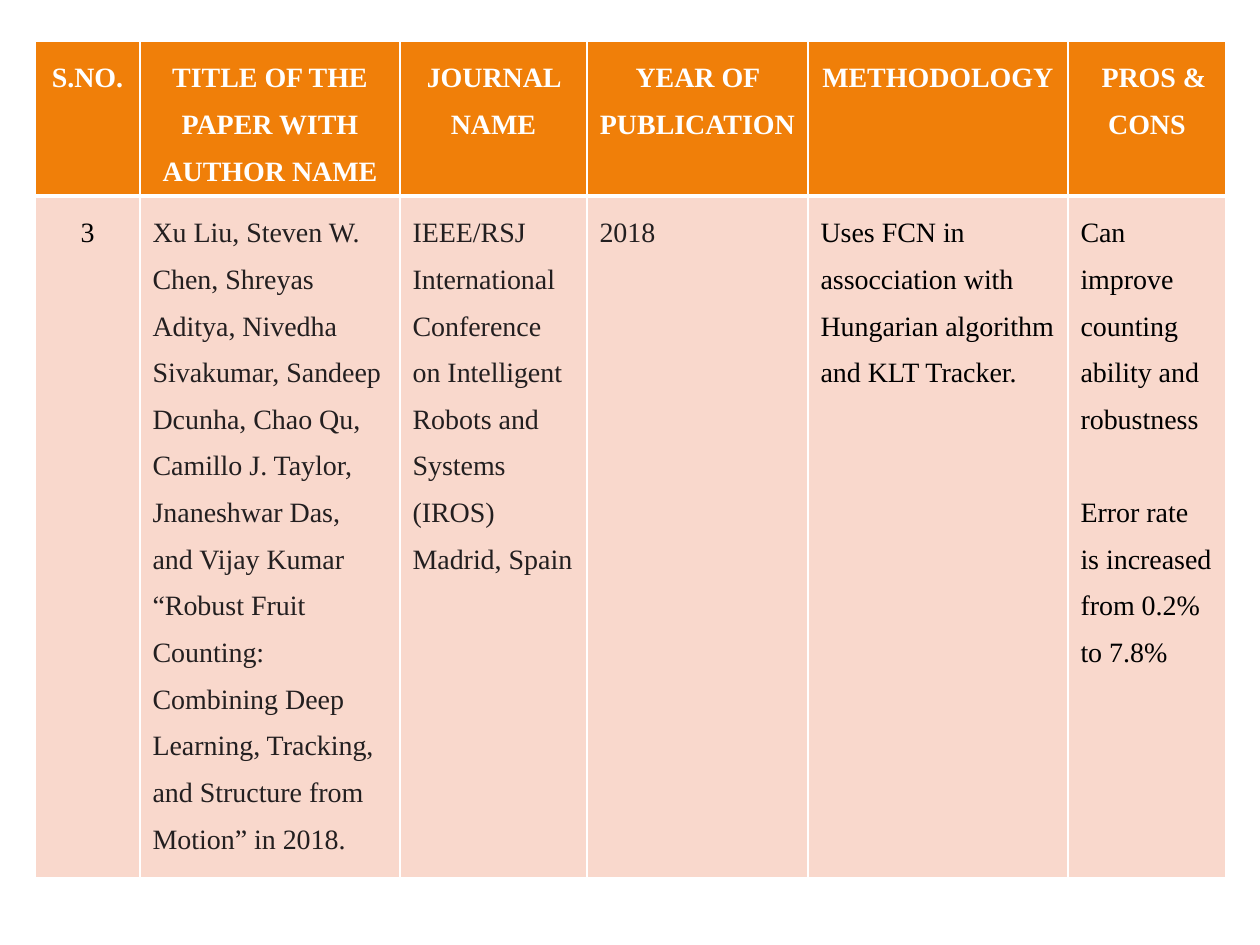
import pptx
import pptx.util
import pptx.dml.color
import pptx.enum.text
import pptx.oxml.ns
from lxml import etree

HUES = {"head": "F07F09", "body": "F9D8CC", "line": "FFFFFF",
        "white": "FFFFFF", "black": "000000", "ink": "231F20"}
FONT = {"name": "Times New Roman", "size": pptx.util.Pt(16)}
COLS = [105, 260, 187, 221, 260, 158]
ROWS = [155, 682]
HEADS = ["S.NO.", "TITLE OF THE PAPER WITH AUTHOR NAME", "JOURNAL NAME",
         "YEAR OF PUBLICATION", "METHODOLOGY", "PROS & CONS"]
# Each entry: paragraphs, text colour
PAPER = [
    (["3"], "black"),
    (["Xu Liu, Steven W. Chen, Shreyas Aditya, Nivedha Sivakumar, Sandeep "
      "Dcunha, Chao Qu, Camillo J. Taylor, Jnaneshwar Das, and Vijay Kumar "
      "“Robust Fruit Counting: Combining Deep Learning, Tracking, and "
      "Structure from Motion” in 2018."], "ink"),
    (["IEEE/RSJ International Conference on Intelligent Robots and Systems "
      "(IROS) Madrid, Spain"], "ink"),
    (["2018"], "ink"),
    (["Uses FCN in assocciation with Hungarian algorithm and KLT Tracker."],
     "black"),
    (["Can improve counting ability and robustness",
      "Error rate is increased from 0.2% to 7.8%"], "black"),
]


def px(n):
    return pptx.util.Emu(round(n * 914400 / 126))


def rgb(key):
    return pptx.dml.color.RGBColor.from_string(HUES[key])


def edge(cell, widths):
    """Draw the cell borders; the fill has to follow them in the XML."""
    props = cell._tc.get_or_add_tcPr()
    qn = pptx.oxml.ns.qn
    for side, width in widths.items():
        line = etree.SubElement(props, qn("a:ln" + side),
                                w=str(pptx.util.Pt(width)))
        fill = etree.SubElement(line, qn("a:solidFill"))
        etree.SubElement(fill, qn("a:srgbClr"), val=HUES["line"])


def fill_cell(cell, texts, hue, back, bold, mid, widths):
    edge(cell, widths)
    cell.fill.solid()
    cell.fill.fore_color.rgb = rgb(back)
    frame = cell.text_frame
    align = pptx.enum.text.PP_ALIGN
    for i, text in enumerate(texts):
        para = frame.add_paragraph() if i else frame.paragraphs[0]
        form = {"line_spacing": 1.5,
                "alignment": align.CENTER if mid else align.LEFT,
                "space_before": pptx.util.Pt(26.6 if i else 0)}
        for key, val in form.items():
            setattr(para, key, val)
        run = para.add_run()
        run.text = text
        for key, val in {**FONT, "bold": bold}.items():
            setattr(run.font, key, val)
        run.font.color.rgb = rgb(hue)


def add_grid(slide, left, top):
    frame = slide.shapes.add_table(len(ROWS), len(COLS), px(left), px(top),
                                   px(sum(COLS)), px(sum(ROWS)))
    table = frame.table
    table.horz_banding = False
    for col, width in zip(table.columns, COLS):
        col.width = px(width)
    for row, height in zip(table.rows, ROWS):
        row.height = px(height)
    thin = dict.fromkeys("LRTB", 1)
    # Header row
    for c, text in enumerate(HEADS):
        fill_cell(table.cell(0, c), [text], "white", "head", True, True,
                  {**thin, "B": 3})
    # First line of the last heading is set in
    last = table.cell(0, len(HEADS) - 1).text_frame.paragraphs[0]
    last._p.get_or_add_pPr().set("indent", str(px(14)))
    # Paper row
    for c, (texts, hue) in enumerate(PAPER):
        fill_cell(table.cell(1, c), texts, hue, "body", False, c == 0,
                  {**thin, "T": 3})


def main():
    deck = pptx.Presentation()
    deck.slide_width, deck.slide_height = px(1260), px(945)
    slide = deck.slides.add_slide(deck.slide_layouts[6])
    add_grid(slide, 35, 41)
    deck.save("out.pptx")


if __name__ == "__main__":
    main()
